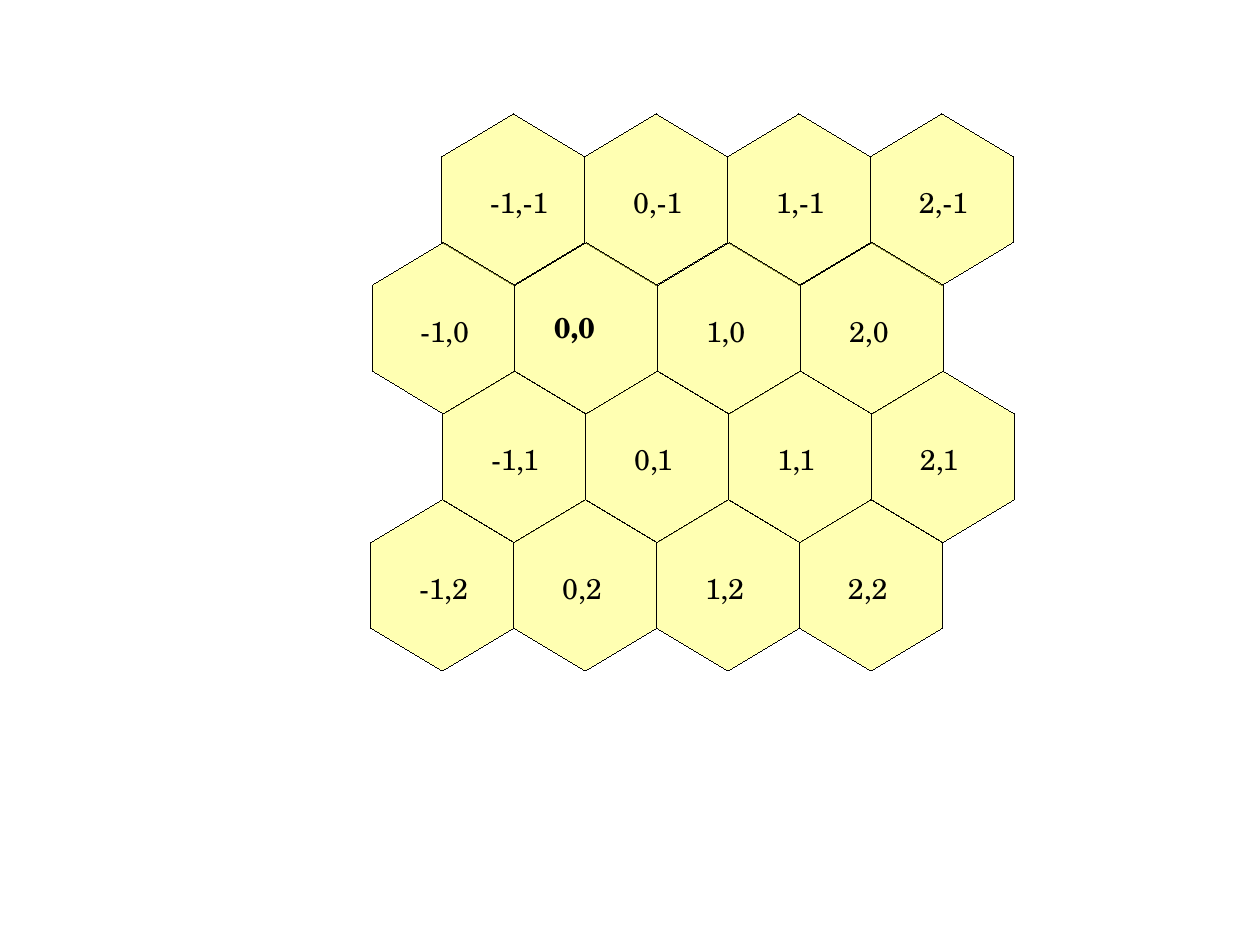
from dataclasses import dataclass

from lxml.etree import SubElement
from pptx import Presentation
from pptx.dml.color import RGBColor
from pptx.enum.shapes import MSO_SHAPE
from pptx.enum.text import MSO_AUTO_SIZE, PP_ALIGN
from pptx.oxml.ns import qn
from pptx.util import Inches, Pt


@dataclass(frozen=True)
class Theme:
    font: str = "TeX Gyre Schola"
    label_size: int = 18
    ink: RGBColor = RGBColor(0x00, 0x00, 0x00)
    hex_fill: RGBColor = RGBColor(0xFF, 0xFF, 0x66)
    hex_opacity: int = 50


CM_PER_INCH = 2.54
PAGE_WIDTH, PAGE_HEIGHT = 28 / CM_PER_INCH, 21 / CM_PER_INCH
HEX_LENGTH, HEX_WIDTH = 1.5, 1.25
ROW_STEP = HEX_LENGTH * 0.75
FIRST_TOP = 1.12
ROW_LEFTS = (3.74, 3.13, 3.75, 3.12)
COLUMNS = 4
LABEL_INSET = 0.45
LABEL_WIDTH, MINUS_WIDTH, LABEL_HEIGHT = 0.6, 0.09, 0.43
ORIGIN_INSET = (0.37, 0.42)
ORIGIN_WIDTH = 0.8


class HexMap:
    def __init__(self, slide, theme):
        self.slide = slide
        self.theme = theme

    def hexagon(self, left, top):
        """Add a translucent hexagon standing on its point."""
        cell = self.slide.shapes.add_shape(
            MSO_SHAPE.HEXAGON, Inches(left), Inches(top),
            Inches(HEX_LENGTH), Inches(HEX_WIDTH))
        cell.rotation = 90
        cell.adjustments[0] = 0.3
        cell.shadow.inherit = False
        cell.fill.solid()
        cell.fill.fore_color.rgb = self.theme.hex_fill
        properties = cell.element.spPr
        color = properties.find(qn("a:solidFill"))[0]
        SubElement(color, qn("a:alpha"), val=str(self.theme.hex_opacity * 1000))
        cell.line.color.rgb = self.theme.ink
        # A hairline needs its zero width written out.
        properties.find(qn("a:ln")).set("w", "0")

    def label(self, text, left, top, width, bold=False):
        box = self.slide.shapes.add_textbox(
            Inches(left), Inches(top), Inches(width), Inches(LABEL_HEIGHT))
        frame = box.text_frame
        frame.word_wrap = True
        frame.auto_size = MSO_AUTO_SIZE.SHAPE_TO_FIT_TEXT
        para = frame.paragraphs[0]
        para.alignment = PP_ALIGN.LEFT
        span = para.add_run()
        span.text = text
        span.font.name = self.theme.font
        span.font.size = Pt(self.theme.label_size)
        span.font.bold = bold
        span.font.color.rgb = self.theme.ink

    def cell(self, column, row):
        """Add the hexagon at a grid place; coordinates start at -1,-1."""
        left = ROW_LEFTS[row] + column * HEX_WIDTH
        top = FIRST_TOP + row * ROW_STEP
        self.hexagon(left, top)
        text = f"{column - 1},{row - 1}"
        if text == "0,0":
            inset_x, inset_y = ORIGIN_INSET
            self.label(text, left + inset_x, top + inset_y, ORIGIN_WIDTH, bold=True)
        else:
            width = LABEL_WIDTH + MINUS_WIDTH * text.count("-")
            self.label(text, left + LABEL_INSET, top + LABEL_INSET, width)


def main():
    deck = Presentation()
    deck.slide_width, deck.slide_height = Inches(PAGE_WIDTH), Inches(PAGE_HEIGHT)
    page = deck.slides.add_slide(deck.slide_layouts[6])
    hex_map = HexMap(page, Theme())
    for row in range(len(ROW_LEFTS)):
        for column in range(COLUMNS):
            hex_map.cell(column, row)
    deck.save("out.pptx")


if __name__ == "__main__":
    main()
